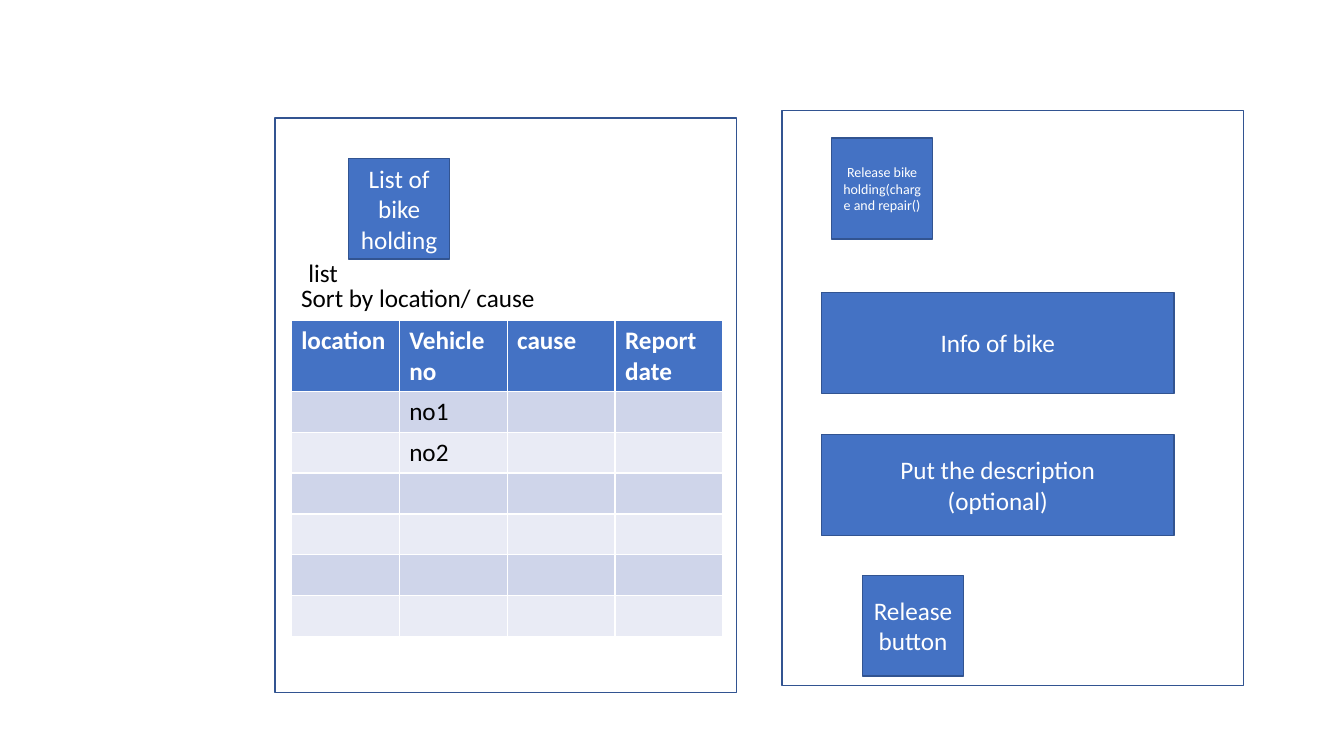
import pptx
import pptx.util
import pptx.dml.color
import pptx.enum.shapes
import pptx.enum.text

Cm = pptx.util.Cm
Mid = pptx.enum.text.MSO_ANCHOR.MIDDLE
Align = pptx.enum.text.PP_ALIGN
blue, edge, white, black = "4472C4", "325491", "FFFFFF", "000000"


def tint(part, code):
    part.rgb = pptx.dml.color.RGBColor.from_string(code)


def write(frame, text, code, size=18, bold=False, align=Align.LEFT):
    frame.text = text
    form = {"name": "Calibri", "size": pptx.util.Pt(size), "bold": bold}
    for para in frame.paragraphs:
        para.alignment = align
        for key, value in form.items():
            setattr(para.font, key, value)
        tint(para.font.color, code)


deck = pptx.Presentation()
deck.slide_width, deck.slide_height = Cm(33.87), Cm(19.05)
slide = deck.slides.add_slide(deck.slide_layouts[6])

boxes = [
    (6.93, 2.97, 11.63, 14.48, None, 18),
    (19.71, 2.79, 11.63, 14.48, None, 18),
    (8.79, 3.99, 2.54, 2.54, "List of bike holding", 18),
    (20.96, 3.48, 2.54, 2.54, "Release bike holding(charge and repair()", 10),
    (20.7, 7.37, 8.89, 2.54, "Info of bike", 18),
    (20.7, 10.95, 8.89, 2.54, "Put the description\n(optional)", 18),
    (21.74, 14.5, 2.54, 2.54, "Release button", 18),
]
for left, top, width, height, text, size in boxes:
    box = slide.shapes.add_shape(
        pptx.enum.shapes.MSO_SHAPE.RECTANGLE,
        Cm(left), Cm(top), Cm(width), Cm(height))
    box.shadow.inherit = False
    tint(box.line.color, edge) if box.line.fill.solid() is None else None
    box.line.width = pptx.util.Pt(1)
    if text:
        box.fill.solid()
        tint(box.fill.fore_color, blue)
        box.text_frame.word_wrap = True
        box.text_frame.vertical_anchor = Mid
        write(box.text_frame, text, white, size, align=Align.CENTER)
    else:
        box.fill.background()

labels = [
    (7.52, 6.35, 1.27, "list"),
    (7.34, 6.99, 6.6, "Sort by location/ cause"),
]
for left, top, width, text in labels:
    label = slide.shapes.add_textbox(Cm(left), Cm(top), Cm(width), Cm(1.03))
    label.text_frame.word_wrap = False
    label.text_frame.auto_size = pptx.enum.text.MSO_AUTO_SIZE.SHAPE_TO_FIT_TEXT
    write(label.text_frame, text, black)

heads = ["location", "Vehicle no", "cause", "Report date"]
bikes = ["no1", "no2", "", "", "", ""]
rows = [heads] + [["", bike, "", ""] for bike in bikes]
table = slide.shapes.add_table(
    len(rows), len(heads), Cm(7.34), Cm(8.08), Cm(10.88), Cm(7.96)).table
for col in table.columns:
    col.width = Cm(2.72)
for r, row in enumerate(rows):
    head = r == 0
    table.rows[r].height = Cm(1.78 if head else 1.03)
    shade = blue if head else ["E9EBF5", "CFD5EA"][r % 2]
    for c, text in enumerate(row):
        cell = table.cell(r, c)
        cell.fill.solid()
        tint(cell.fill.fore_color, shade)
        write(cell.text_frame, text, white if head else black, bold=head)

deck.save("out.pptx")
